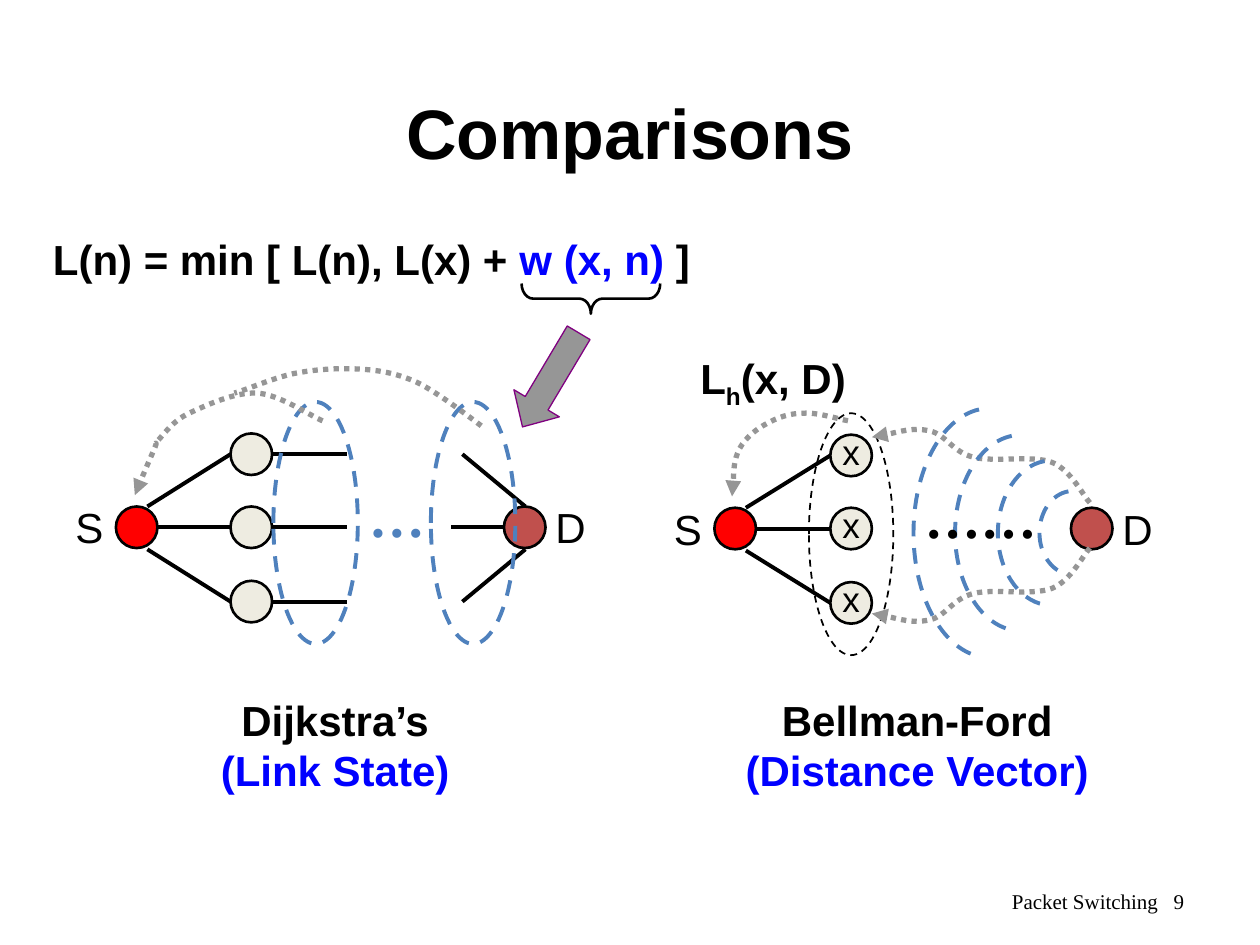
import dataclasses

import pptx
import pptx.dml.color
import pptx.enum.dml
import pptx.enum.shapes
import pptx.enum.text
import pptx.oxml
import pptx.oxml.ns
import pptx.util

Inches = pptx.util.Inches
Pt = pptx.util.Pt
qn = pptx.oxml.ns.qn
SHAPE = pptx.enum.shapes.MSO_SHAPE
DASH = pptx.enum.dml.MSO_LINE
ALIGN = pptx.enum.text.PP_ALIGN
ANCHOR = pptx.enum.text.MSO_ANCHOR
AUTOSIZE = pptx.enum.text.MSO_AUTO_SIZE


@dataclasses.dataclass(frozen=True)
class Theme:
    ink: str = "000000"
    accent: str = "0000FF"
    source: str = "FF0000"
    destination: str = "C0504D"
    hop: str = "EEECE1"
    wave: str = "4F81BD"
    update: str = "969696"
    arrow_edge: str = "800080"
    sans: str = "Arial"
    serif: str = "Times New Roman"
    title: int = 40
    dots: int = 32
    body: int = 24
    hop_label: int = 20
    footer: int = 12


THEME = Theme()
NODE = 0.33
HOP_ROWS = (-0.58, 0, 0.59)


def rgb(value):
    return pptx.dml.color.RGBColor.from_string(value)


def apply(target, values):
    for name, value in values.items():
        setattr(target, name, value)


def stroke(shape, color, width, dash=None, arrow=False):
    shape.line.color.rgb = rgb(color)
    apply(shape.line, {"width": Pt(width), "dash_style": dash})
    if arrow:
        outline = shape.element.spPr.find(qn("a:ln"))
        outline.append(outline.makeelement(qn("a:tailEnd"), {"type": "triangle"}))


def paint(shape, fill):
    shape.shadow.inherit = False
    if fill:
        shape.fill.solid()
        shape.fill.fore_color.rgb = rgb(fill)
    else:
        shape.fill.background()


def figure(slide, kind, box, fill=None, color=THEME.ink, width=1.5, dash=None):
    shape = slide.shapes.add_shape(kind, *map(Inches, box))
    paint(shape, fill)
    stroke(shape, color, width, dash)
    return shape


def link(slide, start, end):
    line = slide.shapes.add_connector(
        pptx.enum.shapes.MSO_CONNECTOR.STRAIGHT, *map(Inches, start + end))
    stroke(line, THEME.ink, 2.25)
    spPr = line.element.spPr
    spPr.append(spPr.makeelement(qn("a:effectLst"), {}))


def curve(slide, origin, points, color, width, dash, arrow=False):
    placed = [(Inches(origin[0] + x), Inches(origin[1] + y)) for x, y in points]
    outline = slide.shapes.build_freeform(*placed[0], scale=1.0)
    outline.add_line_segments(placed[1:], close=False)
    shape = outline.convert_to_shape()
    route = next(shape.element.iter(qn("a:path")))
    corners = route.findall(qn("a:lnTo"))
    for first in range(0, len(corners), 3):
        bend = route.makeelement(qn("a:cubicBezTo"), {})
        route.append(bend)
        for corner in corners[first:first + 3]:
            bend.append(corner[0])
            route.remove(corner)
    paint(shape, None)
    stroke(shape, color, width, dash, arrow)


def write(frame, paragraphs, size, bold=False, face=THEME.sans, align=ALIGN.LEFT,
          spacings=(), **layout):
    apply(frame, {"word_wrap": False, **layout})
    for index, runs in enumerate(paragraphs):
        paragraph = frame.paragraphs[0] if index == 0 else frame.add_paragraph()
        paragraph.alignment = align
        if index < len(spacings):
            paragraph.line_spacing = spacings[index]
        for words, color, baseline in runs:
            run = paragraph.add_run()
            run.text = words
            apply(run.font, {"size": Pt(size), "bold": bold, "name": face})
            run.font.color.rgb = rgb(color)
            if baseline:
                run.font._element.set("baseline", str(baseline))


def label(slide, box, paragraphs, size, **options):
    words = slide.shapes.add_textbox(*map(Inches, box))
    write(words.text_frame, paragraphs, size,
          **{"auto_size": AUTOSIZE.SHAPE_TO_FIT_TEXT, **options})


def plain(words, color=THEME.ink):
    return [[(words, color, 0)]]


def network(slide, origin, reach, hop_x, lift, hop_label=None):
    x, y = origin
    middle, bottom = y + NODE / 2, y + NODE
    ends = (("S", 0, -0.42, 0.42, THEME.source),
            ("D", reach, 0.31, 0.44, THEME.destination))
    for name, offset, gap, width, fill in ends:
        figure(slide, SHAPE.OVAL, (x + offset, y, NODE, NODE), fill)
        label(slide, (x + offset + gap, y - lift, width, 0.5), plain(name), THEME.body)
    starts = ((x + 0.25, y), (x + NODE, middle), (x + 0.25, bottom + 0.01))
    for start, row in zip(starts, HOP_ROWS):
        link(slide, start, (x + hop_x, middle + row))
        hop = figure(slide, SHAPE.OVAL, (x + hop_x, y + row, NODE, NODE), THEME.hop)
        if hop_label:
            write(hop.text_frame, plain(hop_label), THEME.hop_label,
                  align=ALIGN.CENTER, spacings=(0.8,), vertical_anchor=ANCHOR.MIDDLE,
                  margin_left=0, margin_right=0, margin_top=0, margin_bottom=0)


def link_state(slide, origin):
    x, y = origin
    network(slide, origin, 3.08, 0.91, 0.09)
    middle = y + NODE / 2
    arrivals = ((2.75, 3.25, 0), (2.66, 3.08, NODE / 2), (2.75, 3.25, NODE + 0.01))
    for row, (start, end, drop) in zip(HOP_ROWS, arrivals):
        link(slide, (x + 1.25, middle + row), (x + 1.83, middle + row))
        link(slide, (x + start, middle + row), (x + end, y + drop))
    for offset in (1.25, 2.5):
        figure(slide, SHAPE.OVAL, (x + offset, y - 0.83, 0.67, 1.92),
               color=THEME.wave, width=2.25, dash=DASH.DASH)
    label(slide, (x + 1.91, y - 0.25, 0.65, 0.63), plain("…", THEME.wave),
          THEME.dots, bold=True, face=THEME.serif)
    near = [(1.64, -0.68), (1.56, -0.71), (1.3, -0.89), (1.12, -0.9),
            (0.94, -0.91), (0.71, -0.8), (0.58, -0.74), (0.45, -0.68),
            (0.37, -0.56), (0.33, -0.52), (0.28, -0.47), (0.34, -0.54),
            (0.31, -0.47), (0.28, -0.4), (0.18, -0.17), (0.15, -0.09)]
    far = [(2.9, -0.64), (2.82, -0.7), (2.56, -0.9), (2.4, -0.98),
           (2.25, -1.05), (2.11, -1.08), (1.94, -1.09), (1.78, -1.1),
           (1.6, -1.09), (1.44, -1.06), (1.27, -1.03), (1.05, -0.93), (0.94, -0.9)]
    for points, arrow in ((near, True), (far, False)):
        curve(slide, origin, points, THEME.update, 3, DASH.ROUND_DOT, arrow)


def distance_vector(slide, origin):
    x, y = origin
    network(slide, origin, 2.83, 0.92, 0.08, "x")
    to_hop = [(2.98, -0.04), (2.93, -0.09), (2.83, -0.3), (2.68, -0.36),
              (2.52, -0.42), (2.22, -0.36), (2.06, -0.4), (1.89, -0.44),
              (1.84, -0.58), (1.71, -0.61), (1.57, -0.64), (1.34, -0.57), (1.25, -0.56)]
    to_source = [(1.06, -0.69), (1, -0.7), (0.81, -0.76), (0.71, -0.75),
                 (0.6, -0.75), (0.51, -0.72), (0.42, -0.67), (0.34, -0.63),
                 (0.25, -0.56), (0.2, -0.47), (0.15, -0.37), (0.15, -0.17), (0.14, -0.09)]
    mirrored = [(px, 0.28 - py) for px, py in to_hop]
    figure(slide, SHAPE.OVAL, (x + 0.75, y - 0.75, 0.67, 1.92), width=1, dash=DASH.DASH)
    for points in (to_hop, to_source, mirrored):
        curve(slide, origin, points, THEME.update, 3, DASH.ROUND_DOT, True)
    label(slide, (x - 0.21, y - 1.28, 1.37, 0.5),
          [[("L", THEME.ink, 0), ("h", THEME.ink, -25000), ("(x, D)", THEME.ink, 0)]],
          THEME.body, bold=True)
    for tip, left, half in ((2.81, 2.58, 0.33), (2.62, 2.25, 0.57),
                            (2.36, 1.91, 0.77), (2.1, 1.58, 0.98)):
        bend = tip - 0.58 * (tip - left)
        heights = (-1, -0.93, -0.5, 0, 0.5, 0.93, 1)
        xs = (tip, bend, left, left, left, bend, tip)
        curve(slide, origin, [(px, 0.2 + half * h) for px, h in zip(xs, heights)],
              THEME.wave, 2.25, DASH.DASH)
    label(slide, (x + 1.57, y - 0.25, 1.09, 0.63), plain("……"),
          THEME.dots, bold=True, face=THEME.serif)


def formula(slide, origin):
    x, y = origin
    label(slide, (x, y, 5.06, 0.42),
          [[("L(n) = min [ L(n), L(x) + ", THEME.ink, 0),
            ("w (x, n)", THEME.accent, 0), (" ] ", THEME.ink, 0)]],
          THEME.body, bold=True, spacings=(1.05,), word_wrap=True,
          margin_left=0, margin_right=0, margin_top=0, margin_bottom=0)
    brace = figure(slide, SHAPE.LEFT_BRACE, (x + 4.15, y - 0.01, 0.24, 1.1))
    arrow = figure(slide, SHAPE.DOWN_ARROW, (x + 3.74, y + 0.75, 0.42, 0.87),
                   THEME.update, THEME.arrow_edge, 0.75)
    for shape, turn, bends in ((brace, 270, (0.38, 0.5)), (arrow, 30.8, (0.5, 0.52))):
        shape.rotation = turn
        for index, bend in enumerate(bends):
            shape.adjustments[index] = bend


def caption(slide, box, algorithm, family, spacings=()):
    label(slide, box, plain(algorithm) + plain(family, THEME.accent), THEME.body,
          bold=True, align=ALIGN.CENTER, spacings=spacings, word_wrap=True)


def comparison_slide(deck):
    slide = deck.slides.add_slide(deck.slide_layouts[6])
    fixed = {"word_wrap": True, "auto_size": AUTOSIZE.NONE,
             "vertical_anchor": ANCHOR.MIDDLE}
    label(slide, (0.75, 0.5, 8.5, 1.08), plain("Comparisons"), THEME.title,
          bold=True, align=ALIGN.CENTER, **fixed)
    label(slide, (7.17, 6.95, 2.33, 0.4), plain("Packet Switching   9"),
          THEME.footer, face=THEME.serif, align=ALIGN.RIGHT, **fixed)
    link_state(slide, (0.92, 4.02))
    distance_vector(slide, (5.67, 4.03))
    formula(slide, (0.42, 1.83))
    caption(slide, (1.65, 5.42, 2.02, 0.94), "Dijkstra’s", "(Link State)", (1.1,))
    caption(slide, (5.81, 5.46, 2.94, 0.9), "Bellman-Ford", "(Distance Vector)")


deck = pptx.Presentation()
apply(deck, {"slide_width": Inches(10), "slide_height": Inches(7.5)})
comparison_slide(deck)
deck.save("out.pptx")
